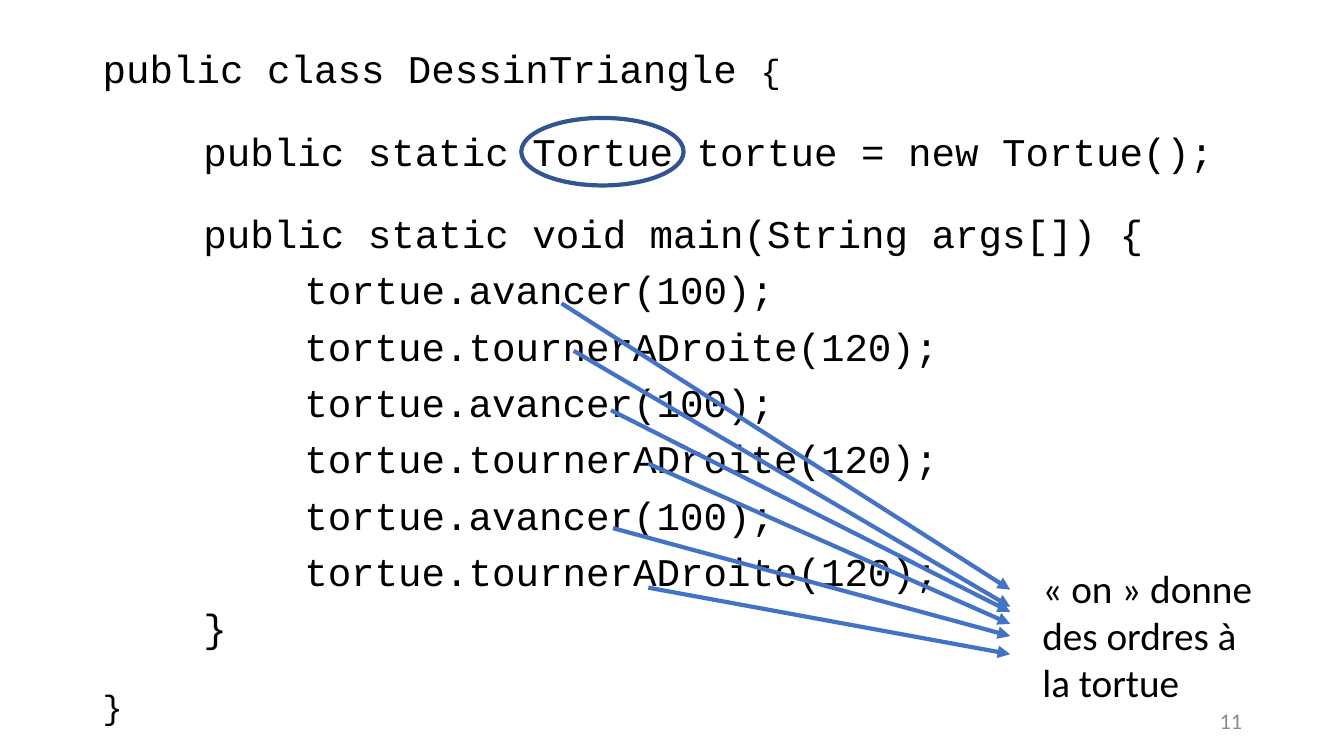
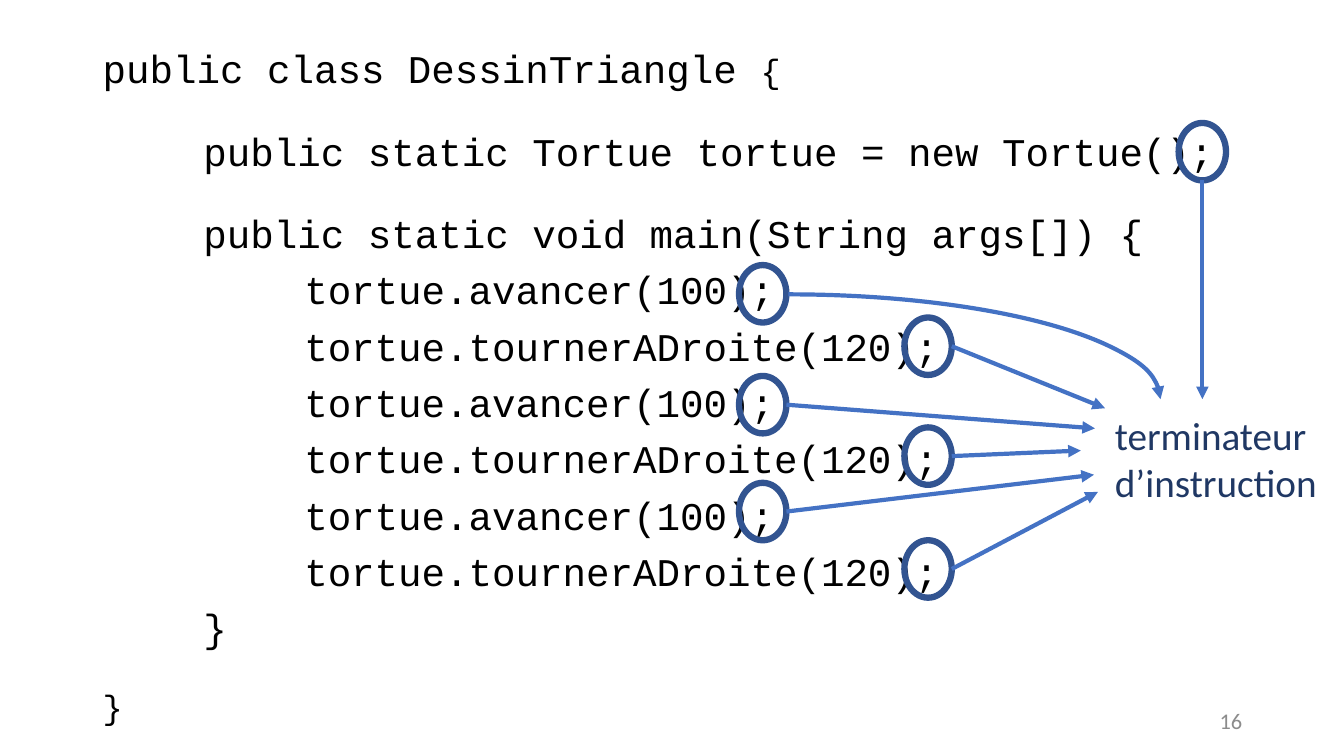
"""Two slides explaining a Java turtle program with annotated code."""
from lxml.etree import SubElement
from pptx import Presentation
from pptx.dml.color import RGBColor
from pptx.enum.shapes import MSO_CONNECTOR as Connector, MSO_SHAPE as Shape
from pptx.enum.text import MSO_ANCHOR as Anchor, PP_ALIGN as Align
from pptx.oxml.ns import qn
from pptx.util import Inches, Pt

COLORS = {"code": "000000", "ring": "325491", "arrow": "4472C4",
          "term": "203864", "number": "8C8C8C"}
CODE_FONT, NOTE_FONT = "Courier New", "Calibri"
LINE_HEIGHT, LINE_GAP, BLOCK_GAP, CLOSING_GAP = 32.4, 7.8, 26.5, 21.6

FORWARD = (2, LINE_GAP, [("tortue.avancer(100);", 28)])
TURN = (2, LINE_GAP, [("tortue.tournerADroite(120);", 28)])
CODE = [
    (0, 0, [("public class DessinTriangle ", 28), ("{", 24)]),
    (1, BLOCK_GAP, [("public static Tortue tortue = new Tortue();", 28)]),
    (1, BLOCK_GAP, [("public static void main(String args[]) {", 28)]),
    *[FORWARD, TURN] * 3,
    (1, LINE_GAP, [("}", 28)]),
    (0, CLOSING_GAP, [("}", 24)]),
]

ORDERS_NOTE = "« on » donne des ordres à la tortue"
ORDERS_TIP_X = 10.02
ORDERS = [
    ((5.57, 3.01), 5.85), ((5.69, 3.48), 6.02), ((6.08, 5.24), 6.31),
    ((6.43, 5.83), 6.49), ((6.06, 4.07), 6.07), ((6.43, 4.6), 6.19),
]

TERMINATOR_NOTE = "terminateur d’instruction"
RING_W, RING_H = 0.47, 0.57
DECLARATION_RING = (11.69, 1.22)
DECLARATION_TIP_Y = 3.96
FORWARD_X, TURN_X = 7.33, 8.97
FIRST_CALL_RING = (FORWARD_X, 2.63)
CALL_RINGS = [
    ((TURN_X, 3.15), (10.96, 4.05)),
    ((FORWARD_X, 3.73), (10.86, 4.25)),
    ((TURN_X, 4.24), (10.72, 4.47)),
    ((FORWARD_X, 4.79), (10.85, 4.71)),
    ((TURN_X, 5.36), (10.89, 4.88)),
]


def rgb(role):
    return RGBColor.from_string(COLORS[role])


def add_run(paragraph, text, size, font, role):
    run = paragraph.add_run()
    run.text = text
    run.font.size = Pt(size)
    run.font.name = font
    run.font.color.rgb = rgb(role)


def add_frame(slide, left, top, width, height):
    box = slide.shapes.add_textbox(*map(Inches, (left, top, width, height)))
    box.text_frame.word_wrap = True
    return box.text_frame


def add_code(slide):
    frame = add_frame(slide, 0.92, 0.41, 11.5, 6.35)
    for index, (level, gap, parts) in enumerate(CODE):
        line = frame.add_paragraph() if index else frame.paragraphs[0]
        line.line_spacing = Pt(LINE_HEIGHT)
        line.space_before = Pt(gap)
        properties = line._p.get_or_add_pPr()
        properties.set("marL", str(Inches(level)))
        properties.set("indent", "0")
        for text, size in parts:
            add_run(line, text, size, CODE_FONT, "code")


def add_note(slide, text, left, top, height, role):
    frame = add_frame(slide, left, top, 2.4, height)
    add_run(frame.paragraphs[0], text, 28, NOTE_FONT, role)


def add_number(slide, number):
    frame = add_frame(slide, 9.42, 6.95, 3, 0.4)
    frame.vertical_anchor = Anchor.MIDDLE
    frame.paragraphs[0].alignment = Align.RIGHT
    add_run(frame.paragraphs[0], number, 16, NOTE_FONT, "number")


def add_outline(slide, kind, left, top, width, height, role, weight):
    outline = slide.shapes.add_shape(kind, *map(Inches, (left, top, width, height)))
    outline.shadow.inherit = False
    outline.fill.background()
    outline.line.color.rgb = rgb(role)
    outline.line.width = Pt(weight)
    return outline


def add_ring(slide, corner):
    add_outline(slide, Shape.OVAL, *corner, RING_W, RING_H, "ring", 4.5)


def add_head(stroke):
    outline = stroke._element.spPr.get_or_add_ln()
    SubElement(outline, qn("a:tailEnd"), type="triangle")


def add_arrow(slide, start, tip):
    arrow = slide.shapes.add_connector(Connector.STRAIGHT, *map(Inches, (*start, *tip)))
    arrow.line.color.rgb = rgb("arrow")
    arrow.line.width = Pt(3)
    add_head(arrow)
    SubElement(arrow._element.spPr, qn("a:effectLst"))


def new_slide(deck, number):
    slide = deck.slides.add_slide(deck.slide_layouts[6])
    add_code(slide)
    add_number(slide, number)
    return slide


def build_orders(deck):
    slide = new_slide(deck, "11")
    add_outline(slide, Shape.OVAL, 5.17, 1.17, 1.61, 0.67, "ring", 3)
    add_note(slide, ORDERS_NOTE, 10.24, 5.55, 1.51, "code")
    for start, tip_y in ORDERS:
        add_arrow(slide, start, (ORDERS_TIP_X, tip_y))


def build_terminators(deck):
    slide = new_slide(deck, "16")
    add_note(slide, TERMINATOR_NOTE, 10.96, 4.03, 1.04, "term")
    add_ring(slide, DECLARATION_RING)
    left, top = DECLARATION_RING
    middle = left + RING_W / 2
    add_arrow(slide, (middle, top + RING_H), (middle, DECLARATION_TIP_Y))
    add_ring(slide, FIRST_CALL_RING)
    curve = add_outline(slide, Shape.ARC, 4.13, 2.92, 7.38, 2.08, "arrow", 3)
    add_head(curve)
    for (left, top), tip in CALL_RINGS:
        add_ring(slide, (left, top))
        add_arrow(slide, (left + RING_W, top + RING_H / 2), tip)


def main():
    deck = Presentation()
    deck.slide_width, deck.slide_height = Inches(13.33), Inches(7.5)
    build_orders(deck)
    build_terminators(deck)
    deck.save("out.pptx")


if __name__ == "__main__":
    main()
